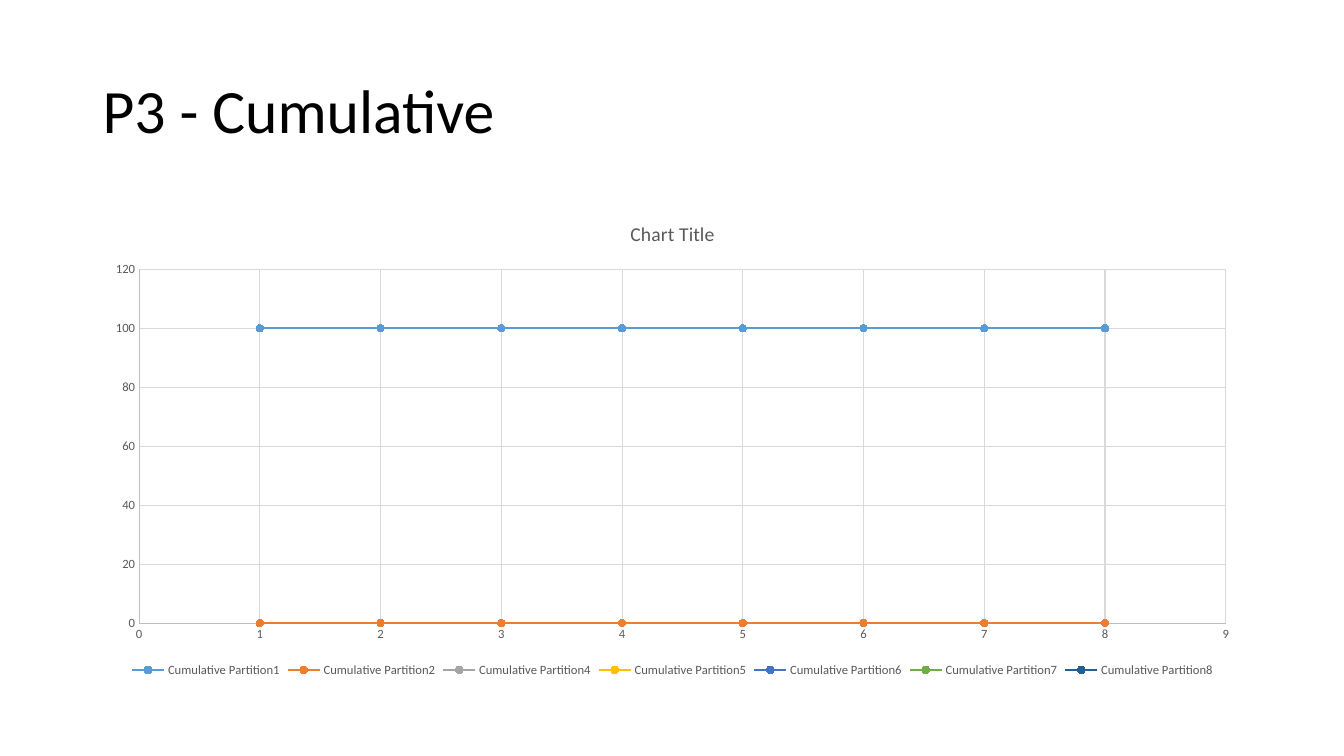
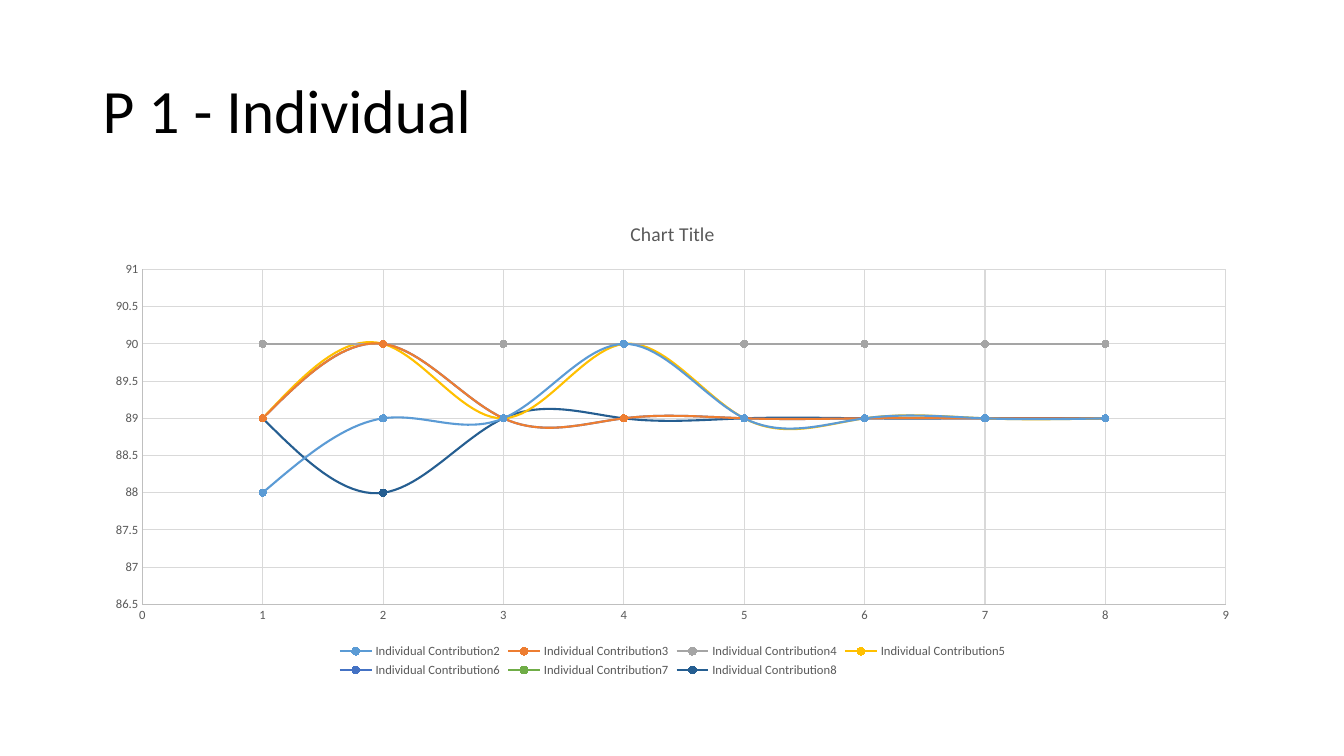
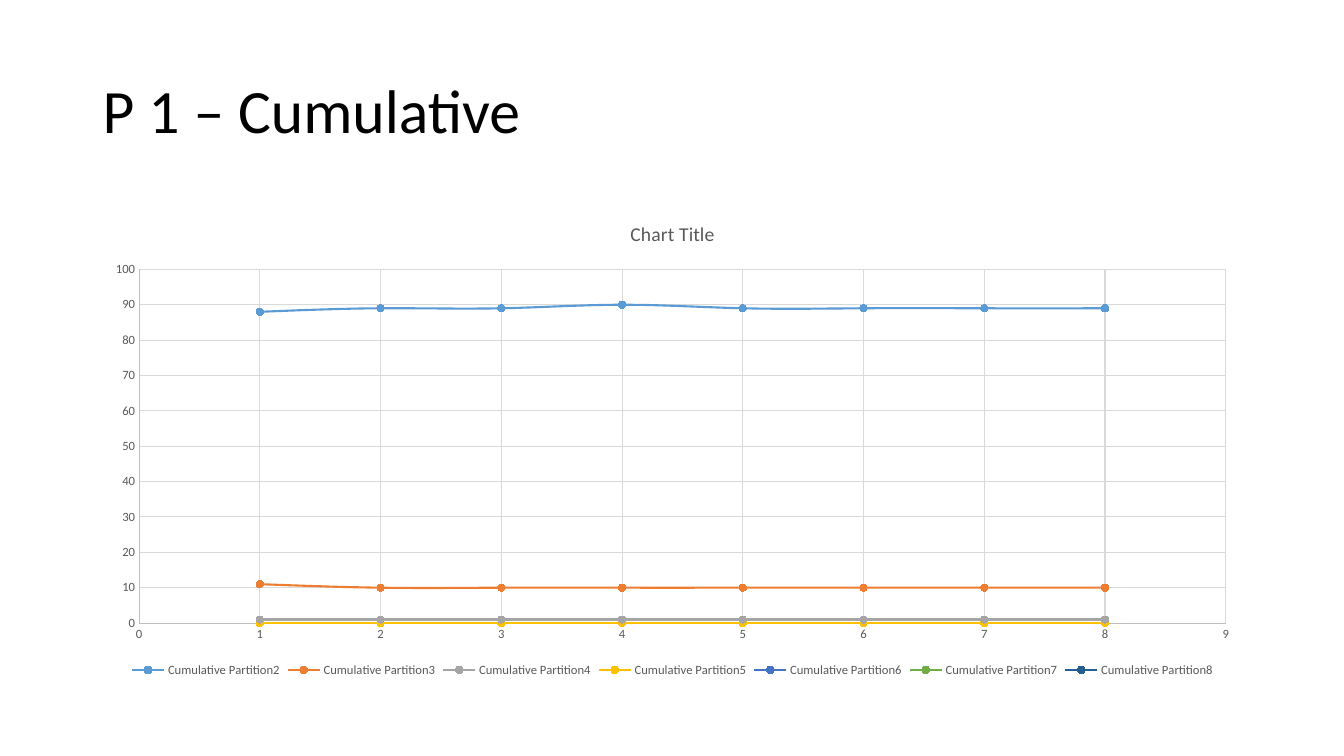
"""Three slides of partition charts, each a title above a smooth scatter chart."""
from pptx import Presentation
from pptx.chart.data import XyChartData
from pptx.dml.color import RGBColor
from pptx.enum.chart import XL_CHART_TYPE as Kind
from pptx.enum.chart import XL_LEGEND_POSITION as Place
from pptx.enum.chart import XL_MARKER_STYLE as Mark
from pptx.enum.chart import XL_TICK_MARK as Tick
from pptx.enum.text import MSO_ANCHOR as Anchor
from pptx.util import Inches, Pt

FONT = "Calibri"
BLACK = RGBColor(0x00, 0x00, 0x00)
GREY = RGBColor(0x59, 0x59, 0x59)
RULE = RGBColor(0xBF, 0xBF, 0xBF)
GRID = RGBColor(0xD9, 0xD9, 0xD9)
HUES = [
    RGBColor(0x5B, 0x9B, 0xD5),
    RGBColor(0xED, 0x7D, 0x31),
    RGBColor(0xA5, 0xA5, 0xA5),
    RGBColor(0xFF, 0xC0, 0x00),
    RGBColor(0x44, 0x72, 0xC4),
    RGBColor(0x70, 0xAD, 0x47),
    RGBColor(0x25, 0x5E, 0x91),
]

LEFT, WIDTH = Inches(0.92), Inches(11.5)
ZERO = [0] * 8
FIRST = [88, 89, 89, 90] + [89] * 4

PAGES = [
    ("P3 - Cumulative", "Cumulative Partition", (0, 120, 20), {
        1: [100] * 8, 2: ZERO, 4: ZERO, 5: ZERO, 6: ZERO, 7: ZERO, 8: ZERO,
    }),
    ("P 1 - Individual", "Individual Contribution", (86.5, 91, 0.5), {
        2: FIRST,
        3: [89, 90] + [89] * 6,
        4: [90] * 8,
        5: [89, 90, 89, 90] + [89] * 4,
        6: [89, 90] + [89] * 6,
        7: [90] * 8,
        8: [89, 88] + [89] * 6,
    }),
    ("P 1 – Cumulative", "Cumulative Partition", (0, 100, 10), {
        2: FIRST,
        3: [11] + [10] * 7,
        4: [1] * 8,
        5: ZERO, 6: ZERO, 7: ZERO, 8: ZERO,
    }),
]


def style(font, size, color):
    font.name = FONT
    font.size = Pt(size)
    font.bold = False
    font.color.rgb = color


def stroke(line, color, width):
    line.color.rgb = color
    line.width = Pt(width)


deck = Presentation()
deck.slide_width = Inches(13.33)
deck.slide_height = Inches(7.5)

for title, label, span, rows in PAGES:
    slide = deck.slides.add_slide(deck.slide_layouts[6])
    frame = slide.shapes.add_textbox(LEFT, Inches(0.4), WIDTH, Inches(1.45)).text_frame
    frame.word_wrap = True
    frame.vertical_anchor = Anchor.MIDDLE
    frame.text = title
    para = frame.paragraphs[0]
    para.line_spacing = 0.9
    style(para.runs[0].font, 44, BLACK)

    data = XyChartData()
    for part, vals in rows.items():
        row = data.add_series(f"{label}{part}")
        for x, y in enumerate(vals, 1):
            row.add_data_point(x, y)
    chart = slide.shapes.add_chart(
        Kind.XY_SCATTER_SMOOTH, LEFT, Inches(2), WIDTH, Inches(4.76), data
    ).chart
    style(chart.font, 10, BLACK)
    chart.has_title = True
    head = chart.chart_title.text_frame
    head.text = "Chart Title"
    style(head.paragraphs[0].runs[0].font, 14, GREY)
    chart.has_legend = True
    chart.legend.position = Place.BOTTOM
    chart.legend.include_in_layout = False
    style(chart.legend.font, 9, GREY)

    for axis, (low, high, step) in (
        (chart.category_axis, (0, 9, 1)),
        (chart.value_axis, span),
    ):
        axis.minimum_scale = low
        axis.maximum_scale = high
        axis.major_unit = step
        axis.major_tick_mark = Tick.NONE
        axis.minor_tick_mark = Tick.NONE
        axis.has_major_gridlines = True
        style(axis.tick_labels.font, 9, GREY)
        stroke(axis.format.line, RULE, 0.75)
        stroke(axis.major_gridlines.format.line, GRID, 0.75)

    plot = chart.plots[0]
    plot.vary_by_categories = False
    for curve, hue in zip(plot.series, HUES):
        curve._element.xpath("c:smooth")[0].set("val", "1")
        stroke(curve.format.line, hue, 1.5)
        dot = curve.marker
        dot.style = Mark.CIRCLE
        dot.size = 5
        dot.format.fill.solid()
        dot.format.fill.fore_color.rgb = hue
        stroke(dot.format.line, hue, 0.75)

deck.save("out.pptx")
